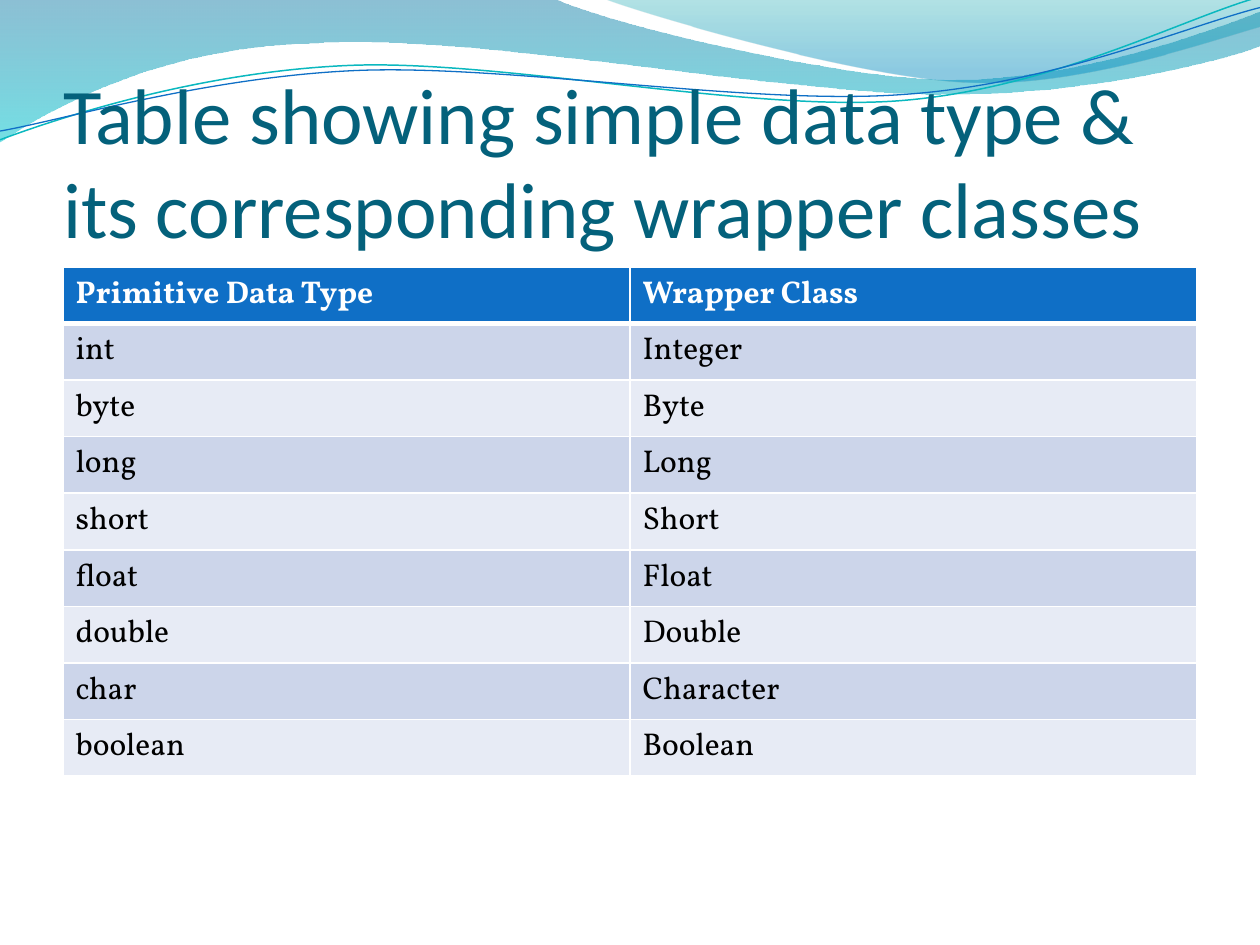
from math import cos, radians, sin

from lxml.etree import SubElement
from pptx import Presentation
from pptx.dml.color import RGBColor
from pptx.enum.text import MSO_ANCHOR, MSO_AUTO_SIZE, PP_ALIGN
from pptx.oxml.ns import qn
from pptx.util import Pt

# Content
TITLE = "Table showing simple data type & its corresponding wrapper classes"
ROWS = [
    ("Primitive Data Type", "Wrapper Class"),
    ("int", "Integer"),
    ("byte", "Byte"),
    ("long", "Long"),
    ("short", "Short"),
    ("float", "Float"),
    ("double", "Double"),
    ("char", "Character"),
    ("boolean", "Boolean"),
]
HEADER_FILL, BAND_FILLS = "0F6FC6", ("CCD5EA", "E7EBF5")
HEADER_BORDERS = [("lnL", 1), ("lnR", 1), ("lnT", 1), ("lnB", 3)]

# Waves: box, then path of a start point and segments of 2 numbers (line)
# or 6 (Bezier curve). Gradient stops: position, colour, opacity in percent
FILLED_WAVES = [
    ((-0.7, -0.7, 721.4, 82.1),
     [(0, 0), (316.8, -0.7),
      (342.7, 12.2, 478.1, 45.4, 545.8, 45.4),
      (614.2, 45.4, 689.8, 18.7, 720, 6.5),
      (720.7, 25.9),
      (707.8, 31.7, 626.4, 54.7, 537.1, 54),
      (447.8, 54, 275, 20.2, 185, 24.5),
      (92.9, 25.9, 33.1, 59.8, -0.7, 81.4),
      (0, 0)],
     [(0, "0074A1", 45), (1, "00C6CF", 55)]),
    ((344.9, -0.7, 375.1, 50.4),
     [(344.9, -0.7),
      (366.5, 7.9, 491, 44.6, 553.7, 46.8),
      (616.3, 49.7, 691.9, 23, 720, 15.1),
      (720, 0), (344.9, -0.7)],
     [(0, "00A1A9", 30), (0.8, "008BBF", 45)]),
]
LINE_WAVES = [
    ((-1.4, 15.8, 721.4, 51.1),
     [(0, 79.9),
      (34.6, 67, 113.8, 41, 199.4, 37.4),
      (284.4, 33.8, 427, 64.1, 513.4, 57.6),
      (599.8, 51.1, 675.4, 10.8, 718.6, -1.4)], "0AB8BF", 0.85),
    ((-1.4, 21.6, 722.2, 41.8),
     [(0, 74.9),
      (33.8, 69.1, 118.1, 43.9, 203.8, 40.3),
      (290.2, 36.7, 429.8, 60.5, 516.2, 54),
      (601.9, 48.2, 677.5, 15.1, 720, 4.3)], "0F6FC6", 0.75),
]
LINE_TILT = -2.7


def rgb(value):
    return RGBColor.from_string(value)


def write(tf, text, font, size, color, bold=False):
    p = tf.paragraphs[0]
    p.alignment = PP_ALIGN.LEFT
    r = p.add_run()
    r.text = text
    r.font.name, r.font.size, r.font.bold = font, Pt(size), bold
    r.font.color.rgb = rgb(color)


def add_wave(shapes, box, path, closed, tilt=0):
    """Add a freeform with true curves; tilt turns it about its box centre."""
    left, top, width, height = box
    c, d = cos(radians(-tilt)), sin(radians(-tilt))

    def local(x, y):
        x, y = x - left - width / 2, y - top - height / 2
        return Pt(x * c - y * d + width / 2), Pt(x * d + y * c + height / 2)

    segments = [[local(*seg[i:i + 2]) for i in range(0, len(seg), 2)] for seg in path]
    builder = shapes.build_freeform(*segments[0][0])
    builder.add_line_segments([seg[-1] for seg in segments[1:]], close=closed)
    sp = builder.convert_to_shape()
    sp.shadow.inherit = False
    sp.left, sp.top, sp.width, sp.height = map(Pt, box)
    sp.rotation = tilt

    # Coordinates inside the box, with curves in place of straight segments
    outline = next(sp.element.iter(qn("a:path")))
    outline.set("w", str(Pt(width)))
    outline.set("h", str(Pt(height)))
    for old, seg in zip(list(outline), segments):
        for pt in list(old):
            old.remove(pt)
        node = old
        if len(seg) == 3:
            node = SubElement(outline, qn("a:cubicBezTo"))
            outline.replace(old, node)
        for x, y in seg:
            SubElement(node, qn("a:pt"), x=str(x), y=str(y))
    return sp


def set_borders(cell, borders, color):
    tc_pr = cell.fill.fore_color and cell._tc.get_or_add_tcPr()
    for i, (side, width) in enumerate(borders):
        ln = SubElement(tc_pr, qn("a:" + side), w=str(Pt(width)))
        SubElement(SubElement(ln, qn("a:solidFill")), qn("a:srgbClr"), val=color)
        tc_pr.insert(i, ln)


prs = Presentation()
prs.slide_width, prs.slide_height = Pt(720), Pt(540)
s = prs.slides.add_slide(prs.slide_layouts[5])

# Waves across the top
for box, path, stops in FILLED_WAVES:
    sp = add_wave(s.shapes, box, path, True)
    sp.line.fill.background()
    sp.fill.gradient()
    sp.fill.gradient_angle = 270
    for stop, (position, color, _) in zip(sp.fill.gradient_stops, stops):
        stop.position = position
        stop.color.rgb = rgb(color)
    for clr, (_, _, opacity) in zip(sp.element.spPr.iter(qn("a:srgbClr")), stops):
        SubElement(clr, qn("a:alpha"), val=str(opacity * 1000))

group = s.shapes.add_group_shape()
for box, path, color, width in LINE_WAVES:
    sp = add_wave(group.shapes, box, path, False, LINE_TILT)
    sp.fill.background()
    sp.line.color.rgb = rgb(color)
    sp.line.width = Pt(width)

# Title, brought in front of the waves
title = s.shapes.title
title.element.getparent().append(title.element)
title.left, title.top, title.width, title.height = Pt(36), Pt(55.5), Pt(648), Pt(90)
tf = title.text_frame
tf.word_wrap = True
tf.auto_size = MSO_AUTO_SIZE.NONE
tf.vertical_anchor = MSO_ANCHOR.BOTTOM
tf.margin_left = tf.margin_right = tf.margin_bottom = 0
tf.margin_top = Pt(3.6)
write(tf, TITLE, "Calibri", 45, "04617B")

# Table; its default style supplies the white borders below the header
table = s.shapes.add_table(len(ROWS), 2, Pt(36), Pt(152.6),
                           Pt(648), Pt(29.2 * len(ROWS))).table
for i, row in enumerate(ROWS):
    header = i == 0
    for j, text in enumerate(row):
        cell = table.cell(i, j)
        cell.fill.solid()
        cell.fill.fore_color.rgb = rgb(HEADER_FILL if header else BAND_FILLS[(i - 1) % 2])
        write(cell.text_frame, text, "Vollkorn", 18,
              "FFFFFF" if header else "000000", bold=header)
        if header:
            set_borders(cell, HEADER_BORDERS, "FFFFFF")

prs.save("out.pptx")
